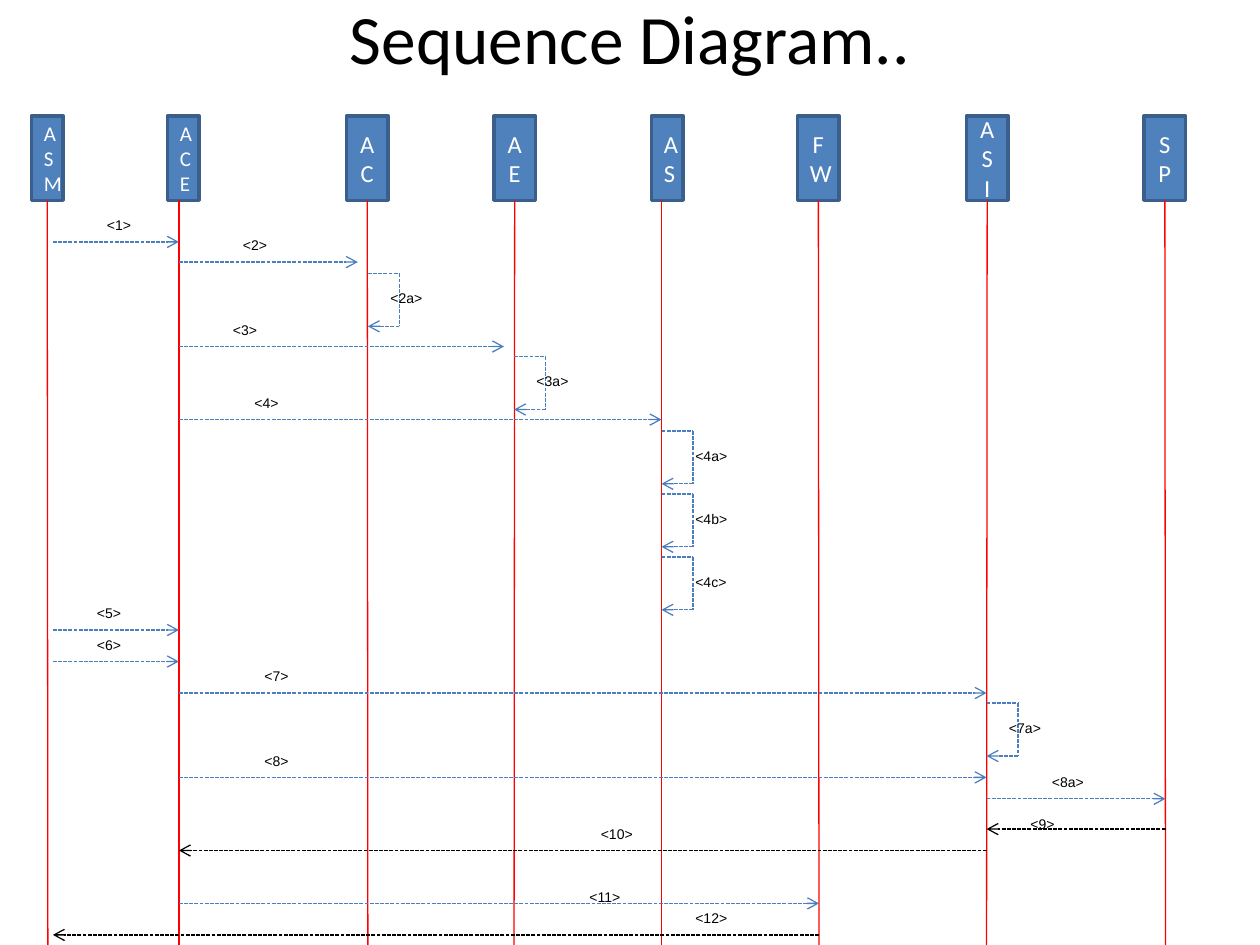
from collections import namedtuple
from dataclasses import dataclass

from lxml.etree import SubElement
from pptx import Presentation
from pptx.dml.color import RGBColor
from pptx.enum.dml import MSO_LINE
from pptx.enum.shapes import MSO_CONNECTOR as Link, MSO_SHAPE as Preset
from pptx.enum.text import MSO_ANCHOR as Anchor, MSO_AUTO_SIZE as Fit, PP_ALIGN as Align
from pptx.oxml.ns import qn
from pptx.util import Inches, Pt


@dataclass(frozen=True)
class Theme:
    box: str = "4F81BD"
    box_edge: str = "3A5F8C"
    box_text: str = "FFFFFF"
    lifeline: str = "FF0000"
    call: str = "4B7EBC"
    reply: str = "000000"
    text: str = "000000"
    heading_font: str = "Calibri"
    label_font: str = "Arial"
    title_size: float = 39.6
    label_size: float = 8
    edge_width: float = 2
    line_width: float = 0.75


THEME = Theme()

Box = namedtuple("Box", "left top width height")
Participant = namedtuple("Participant", "left width axis size align",
                         defaults=(14, Align.CENTER))
Message = namedtuple("Message", "name source target y label_x rise color start_gap end_gap",
                     defaults=(0.25, THEME.call, 0, 0))
SelfCall = namedtuple("SelfCall", "name owner y label_gap", defaults=(0.08,))

TITLE_BOX = Box(0.5, 0, 9, 0.58)
DIAGRAM = Box(0, 0.92, 10, 6.58)
HEAD_HEIGHT = 0.67
LOOP_WIDTH, LOOP_HEIGHT = 0.25, 0.42
LABEL_HEIGHT = 0.23
LABEL_WIDTHS = {3: 0.42, 4: 0.54}

# Horizontal places are measured from the diagram's left edge
PARTICIPANTS = {
    "ASM": Participant(0.25, 0.25, 0.38, 12, Align.LEFT),
    "ACE": Participant(1.33, 0.25, 1.42, 12, Align.LEFT),
    "AC": Participant(2.75, 0.33, 2.92),
    "AE": Participant(3.92, 0.33, 4.08),
    "AS": Participant(5.17, 0.25, 5.25),
    "FW": Participant(6.33, 0.33, 6.5),
    "ASI": Participant(7.67, 0.33, 7.83),
    "SP": Participant(9.08, 0.33, 9.25),
}

# Vertical places are measured from the diagram's top edge
MESSAGES = [
    Message("<1>", "ASM", "ACE", 1, 0.75, start_gap=0.04),
    Message("<2>", "ACE", "AC", 1.16, 1.83, end_gap=0.08),
    Message("<3>", "ACE", "AE", 1.83, 1.75, end_gap=0.08),
    Message("<4>", "ACE", "AS", 2.41, 1.92),
    Message("<5>", "ASM", "ACE", 4.08, 0.67, start_gap=0.04),
    Message("<6>", "ASM", "ACE", 4.33, 0.67, start_gap=0.04),
    Message("<7>", "ACE", "ASI", 4.58, 2),
    Message("<8>", "ACE", "ASI", 5.25, 2),
    Message("<8a>", "ASI", "SP", 5.42, 8.25),
    Message("<9>", "SP", "ASI", 5.66, 8.08, 0.16, THEME.reply),
    Message("<10>", "ASI", "ACE", 5.83, 4.67, color=THEME.reply),
    Message("<11>", "ACE", "FW", 6.25, 4.58, 0.17),
    Message("<12>", "FW", "ASM", 6.5, 5.42, color=THEME.reply, end_gap=0.04),
]

SELF_CALLS = [
    SelfCall("<2a>", "AC", 1.25),
    SelfCall("<3a>", "AE", 1.91),
    SelfCall("<4a>", "AS", 2.5, 0.17),
    SelfCall("<4b>", "AS", 3, 0.17),
    SelfCall("<4c>", "AS", 3.5, 0.17),
    SelfCall("<7a>", "ASI", 4.66),
]


def inches(*lengths):
    return [Inches(length) for length in lengths]


def style_font(font, name, size, color):
    for attribute, value in {"name": name, "size": Pt(size)}.items():
        setattr(font, attribute, value)
    font.color.rgb = RGBColor.from_string(color)


def add_line(shapes, start, end, color, dashed=True, arrow=False):
    connector = shapes.add_connector(Link.STRAIGHT, *inches(*start, *end))
    line = connector.line
    line.color.rgb = RGBColor.from_string(color)
    line.width = Pt(THEME.line_width)
    if dashed:
        line.dash_style = MSO_LINE.SQUARE_DOT
    properties = connector._element.spPr
    if arrow:
        SubElement(properties.find(qn("a:ln")), qn("a:tailEnd"), type="arrow")
    SubElement(properties, qn("a:effectLst"))
    return connector


def add_label(slide, name, left, top):
    width = LABEL_WIDTHS[len(name)]
    label = slide.shapes.add_textbox(*inches(left, top, width, LABEL_HEIGHT))
    label.text_frame.word_wrap = True
    paragraph = label.text_frame.paragraphs[0]
    paragraph.text = name
    style_font(paragraph.font, THEME.label_font, THEME.label_size, THEME.text)


def add_title(slide, box):
    title = slide.shapes.title
    for attribute, length in box._asdict().items():
        setattr(title, attribute, Inches(length))
    frame = title.text_frame
    frame.text = "Sequence Diagram.."
    frame.auto_size = Fit.NONE
    frame.vertical_anchor = Anchor.MIDDLE
    heading = frame.paragraphs[0]
    heading.alignment = Align.CENTER
    style_font(heading.font, THEME.heading_font, THEME.title_size, THEME.text)


def add_participant(slide, box, name, participant):
    left, axis = box.left + participant.left, box.left + participant.axis
    head = slide.shapes.add_shape(
        Preset.RECTANGLE, *inches(left, box.top, participant.width, HEAD_HEIGHT))
    head.shadow.inherit = False
    head.fill.solid()
    head.fill.fore_color.rgb = RGBColor.from_string(THEME.box)
    head.line.color.rgb = RGBColor.from_string(THEME.box_edge)
    head.line.width = Pt(THEME.edge_width)
    frame = head.text_frame
    frame.word_wrap = True
    frame.vertical_anchor = Anchor.MIDDLE
    paragraph = frame.paragraphs[0]
    paragraph.text = name
    paragraph.alignment = participant.align
    style_font(paragraph.font, THEME.heading_font, participant.size, THEME.box_text)

    # The lifeline is joined to the head where it hangs from its middle
    lifeline = add_line(slide.shapes, (axis, box.top + HEAD_HEIGHT),
                        (axis, box.top + box.height), THEME.lifeline, dashed=False)
    if abs(left + participant.width / 2 - axis) < 0.02:
        lifeline.begin_connect(head, 2)


def add_message(slide, box, message):
    start, end = (box.left + PARTICIPANTS[name].axis
                  for name in (message.source, message.target))
    direction = 1 if end > start else -1
    y = box.top + message.y
    add_line(slide.shapes, (start + direction * message.start_gap, y),
             (end - direction * message.end_gap, y), message.color, arrow=True)
    add_label(slide, message.name, box.left + message.label_x, y - message.rise)


def add_self_call(slide, box, call):
    axis, top = box.left + PARTICIPANTS[call.owner].axis, box.top + call.y
    right, bottom = axis + LOOP_WIDTH, top + LOOP_HEIGHT
    corners = [(axis, top), (right, top), (right, bottom), (axis, bottom)]
    loop = slide.shapes.add_group_shape()
    for start, end in zip(corners, corners[1:]):
        add_line(loop.shapes, start, end, THEME.call, arrow=end == corners[-1])
    add_label(slide, call.name, axis + call.label_gap, top + 0.08)


def add_sequence_diagram(slide, box):
    for name, participant in PARTICIPANTS.items():
        add_participant(slide, box, name, participant)
    for message in MESSAGES:
        add_message(slide, box, message)
    for call in SELF_CALLS:
        add_self_call(slide, box, call)


def main():
    deck = Presentation()
    deck.slide_width, deck.slide_height = inches(10, 7.5)
    slide = deck.slides.add_slide(deck.slide_layouts[5])
    add_title(slide, TITLE_BOX)
    add_sequence_diagram(slide, DIAGRAM)
    deck.save("out.pptx")


if __name__ == "__main__":
    main()
